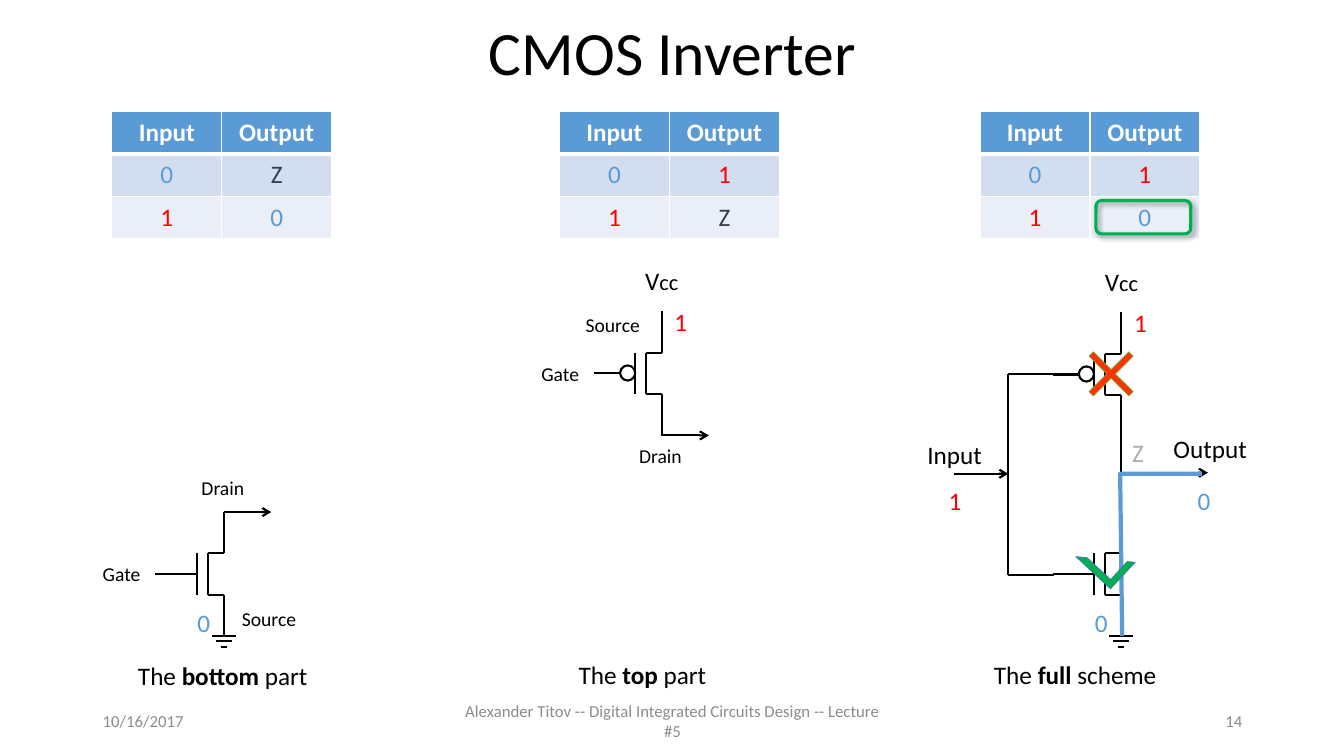
from lxml import etree
from pptx import Presentation
from pptx import util as u
from pptx.dml.color import RGBColor
from pptx.enum import shapes, text
from pptx.oxml import ns

COLORS = {
    "black": "000000", "white": "FFFFFF", "gray": "8C8C8C", "light gray": "AFABAB",
    "slate": "333F50", "blue": "5B9BD5", "band 1": "D2DEEF", "band 2": "EAEFF7",
    "red": "FF0000", "cross": "FF3300", "cross edge": "70AD47",
    "green": "00B050", "check edge": "4472C4",
}
LEVEL_COLORS = {"0": "blue", "1": "red", "Z": "slate"}

# Truth tables: left edge, rows
TABLES = [
    (1.11, [("Input", "Output"), ("0", "Z"), ("1", "0")]),
    (5.55, [("Input", "Output"), ("0", "1"), ("1", "Z")]),
    (9.72, [("Input", "Output"), ("0", "1"), ("1", "0")]),
]
TABLE_TOP, CELL_WIDTH, CELL_HEIGHT = 1.11, 1.09, 0.42

# Transistors: drain-source x, top y, has inverting circle
TRANSISTORS = [(2.22, 5.08, False), (6.57, 3.09, True),
               (11.12, 5.08, False), (11.12, 3.1, True)]
STEP = 0.41
GROUNDS = [2.22, 11.12]
GROUND_BARS = [(0.12, 6.31), (0.08, 6.36), (0.03, 6.42)]

# Wires: start, end, has arrowhead
WIRES = [
    ((2.22, 5.08), (2.69, 5.08), True),
    ((6.56, 4.32), (7.03, 4.32), True),
    ((10.45, 5.7), (10, 5.7), False),
    ((10.45, 3.71), (10, 3.71), False),
    ((10, 3.71), (10, 5.7), False),
    ((9.46, 4.7), (10, 4.7), True),
    ((11.11, 4.69), (11.98, 4.69), True),
    ((11.12, 4.32), (11.12, 5.08), False),
]

# Labels: left, top, width, text
PIN_LABELS = [
    (0.92, 5.53, 0.59, "Gate"), (1.9, 4.67, 0.63, "Drain"), (2.3, 5.97, 0.77, "Source"),
    (5.27, 3.54, 0.59, "Gate"), (6.24, 4.35, 0.63, "Drain"), (5.71, 3.06, 0.77, "Source"),
]
PORT_LABELS = [(9.1, 4.31, 0.75, "Input"), (11.54, 4.25, 0.95, "Output")]
SUPPLY_LABELS = [(6.3, 2.58), (10.86, 2.59)]
LEVELS = [
    (1.86, 5.98, "0", "blue"), (6.59, 2.99, "1", "red"), (10.76, 5.98, "0", "blue"),
    (11.15, 3, "1", "red"), (9.31, 4.77, "1", "red"), (11.78, 4.77, "0", "blue"),
    (11.13, 4.29, "Z", "light gray"),
]
CAPTIONS = [
    (1.27, 6.5, 1.91, "bottom ", "part"),
    (5.64, 6.49, 1.54, "top ", "part"),
    (9.76, 6.49, 1.89, "full ", "scheme"),
]
FOOTERS = [
    (0.92, 3, "10/16/2017", "LEFT"),
    (4.42, 4.5, "Alexander Titov -- Digital Integrated Circuits Design -- Lecture #5", "CENTER"),
    (9.42, 3, "14", "RIGHT"),
]

deck = Presentation()
deck.slide_width, deck.slide_height = u.Inches(13.33), u.Inches(7.5)
page = deck.slides.add_slide(deck.slide_layouts[6])


def rgb(name):
    return RGBColor.from_string(COLORS[name])


def inches(*lengths):
    return [u.Inches(length) for length in lengths]


def write(frame, *words, size=18, color="black", align="LEFT", bold=False,
          anchor="TOP", wrap=False, spacing=None):
    """Fill a frame with one paragraph; a word may be (text, format changes)."""
    frame.word_wrap = wrap
    frame.vertical_anchor = text.MSO_ANCHOR[anchor]
    para = frame.paragraphs[0]
    para.alignment = text.PP_ALIGN[align]
    para.line_spacing = spacing
    for word in words:
        wording, changes = word if isinstance(word, tuple) else (word, {})
        span = para.add_run()
        span.text = wording
        span.font.name = "Calibri"
        span.font.size = u.Pt(changes.get("size", size))
        span.font.bold = changes.get("bold", bold)
        span.font.color.rgb = rgb(color)


def label(left, top, width, height, *words, **style):
    box = page.shapes.add_textbox(*inches(left, top, width, height))
    write(box.text_frame, *words, **style)


def wire(start, end, arrow=False):
    line = page.shapes.add_connector(shapes.MSO_CONNECTOR.STRAIGHT, *inches(*start, *end))
    line.line.color.rgb = rgb("black")
    line.line.width = u.Pt(1.5)
    if arrow:
        etree.SubElement(line.line._get_or_add_ln(), ns.qn("a:tailEnd"), type="arrow")
    etree.SubElement(line._element.spPr, ns.qn("a:effectLst"))


def style_shape(shape, edge, width, fill=None):
    shape.shadow.inherit = False
    if fill:
        shape.fill.solid()
        shape.fill.fore_color.rgb = rgb(fill)
    else:
        shape.fill.background()
    shape.line.color.rgb = rgb(edge)
    shape.line.width = u.Pt(width)


def add_shape(kind, place, edge, width, fill=None, adjustments=()):
    shape = page.shapes.add_shape(shapes.MSO_SHAPE[kind], *inches(*place))
    style_shape(shape, edge, width, fill)
    for index, value in enumerate(adjustments):
        shape.adjustments[index] = value
    return shape


def border_cell(cell, header):
    properties = cell._tc.get_or_add_tcPr()
    for index, side in enumerate(("lnL", "lnR", "lnT", "lnB")):
        points = 3 if header and side == "lnB" else 1
        edge = etree.Element(ns.qn("a:" + side), w=str(u.Pt(points)))
        fill = etree.SubElement(edge, ns.qn("a:solidFill"))
        etree.SubElement(fill, ns.qn("a:srgbClr"), val=COLORS["white"])
        properties.insert(index, edge)


def truth_table(left, rows):
    table = page.shapes.add_table(3, 2, *inches(
        left, TABLE_TOP, 2 * CELL_WIDTH, 3 * CELL_HEIGHT)).table
    for row, values in enumerate(rows):
        table.rows[row].height = u.Inches(CELL_HEIGHT)
        for column, value in enumerate(values):
            cell = table.cell(row, column)
            cell.fill.solid()
            cell.fill.fore_color.rgb = rgb(("blue", "band 1", "band 2")[row])
            cell.vertical_anchor = text.MSO_ANCHOR.MIDDLE
            write(cell.text_frame, value, color=LEVEL_COLORS.get(value, "white"),
                  align="CENTER", anchor="MIDDLE", bold=row == 0, wrap=True)
            border_cell(cell, row == 0)


def transistor(x, top, inverting):
    channel, plate, gate = x - 0.16, x - 0.27, x - 0.68
    y1, y2, bottom = (top + STEP * n for n in (1, 2, 3))
    middle = (y1 + y2) / 2
    for start, end in [
        ((channel, y1), (channel, y2)), ((channel, y1), (x, y1)),
        ((channel, y2), (x, y2)), ((x, top), (x, y1)), ((x, y2), (x, bottom)),
        ((plate, y1), (plate, y2)), ((plate, middle), (gate, middle)),
    ]:
        wire(start, end)
    if inverting:
        add_shape("OVAL", (plate - 0.15, middle - 0.08, 0.15, 0.15), "black", 1.5, "white")


# Title, footer and truth tables
label(0.92, 0, 11.5, 1.1, "CMOS Inverter", size=44, align="CENTER",
      anchor="MIDDLE", wrap=True, spacing=0.9)
for left, width, wording, align in FOOTERS:
    label(left, 6.95, width, 0.4, wording, size=12, color="gray",
          align=align, anchor="MIDDLE", wrap=True)
for left, rows in TABLES:
    truth_table(left, rows)

# Circuits
for place in TRANSISTORS:
    transistor(*place)
for x in GROUNDS:
    for half, y in GROUND_BARS:
        wire((x - half, y), (x + half, y))
for ends in WIRES:
    wire(*ends)

# Circuit labels
for left, top, width, wording in PIN_LABELS:
    label(left, top, width, 0.34, wording, size=14)
for left, top, width, wording in PORT_LABELS:
    label(left, top, width, 0.4, wording)
for left, top in SUPPLY_LABELS:
    label(left, top, 0.54, 0.4, "V", ("cc", {"size": 16}))

# Cross on the closed transistor, levels, conducting track and check mark
add_shape("MATH_MULTIPLY", (10.64, 3.33, 0.76, 0.76), "cross edge", 0.5, "cross", [0.08])
for left, top, wording, color in LEVELS:
    label(left, top, 0.33, 0.4, wording, color=color)
track = page.shapes.build_freeform(*inches(11.13, 6.31))
track.add_line_segments([inches(11.11, 4.7), inches(11.92, 4.7)], close=False)
style_shape(track.convert_to_shape(), "blue", 3)
check = add_shape("HALF_FRAME", (10.73, 5.37, 0.47, 0.36), "check edge", 0.5,
                  "green", [0.19, 0.175])
check.rotation = 222.9

# Captions
for left, top, width, name, noun in CAPTIONS:
    label(left, top, width, 0.4, "The ", (name, {"bold": True}), noun)

# Highlight of the resulting output
highlight = add_shape("ROUNDED_RECTANGLE", (10.87, 1.99, 0.94, 0.33), "green", 2.25)
effects = highlight._element.spPr.find(ns.qn("a:effectLst"))
shadow = etree.SubElement(effects, ns.qn("a:outerShdw"), blurRad=str(u.Pt(4)),
                          dist=str(u.Pt(3)), dir=str(45 * 60000))
shade = etree.SubElement(shadow, ns.qn("a:srgbClr"), val=COLORS["black"])
etree.SubElement(shade, ns.qn("a:alpha"), val="40000")

deck.save("out.pptx")
